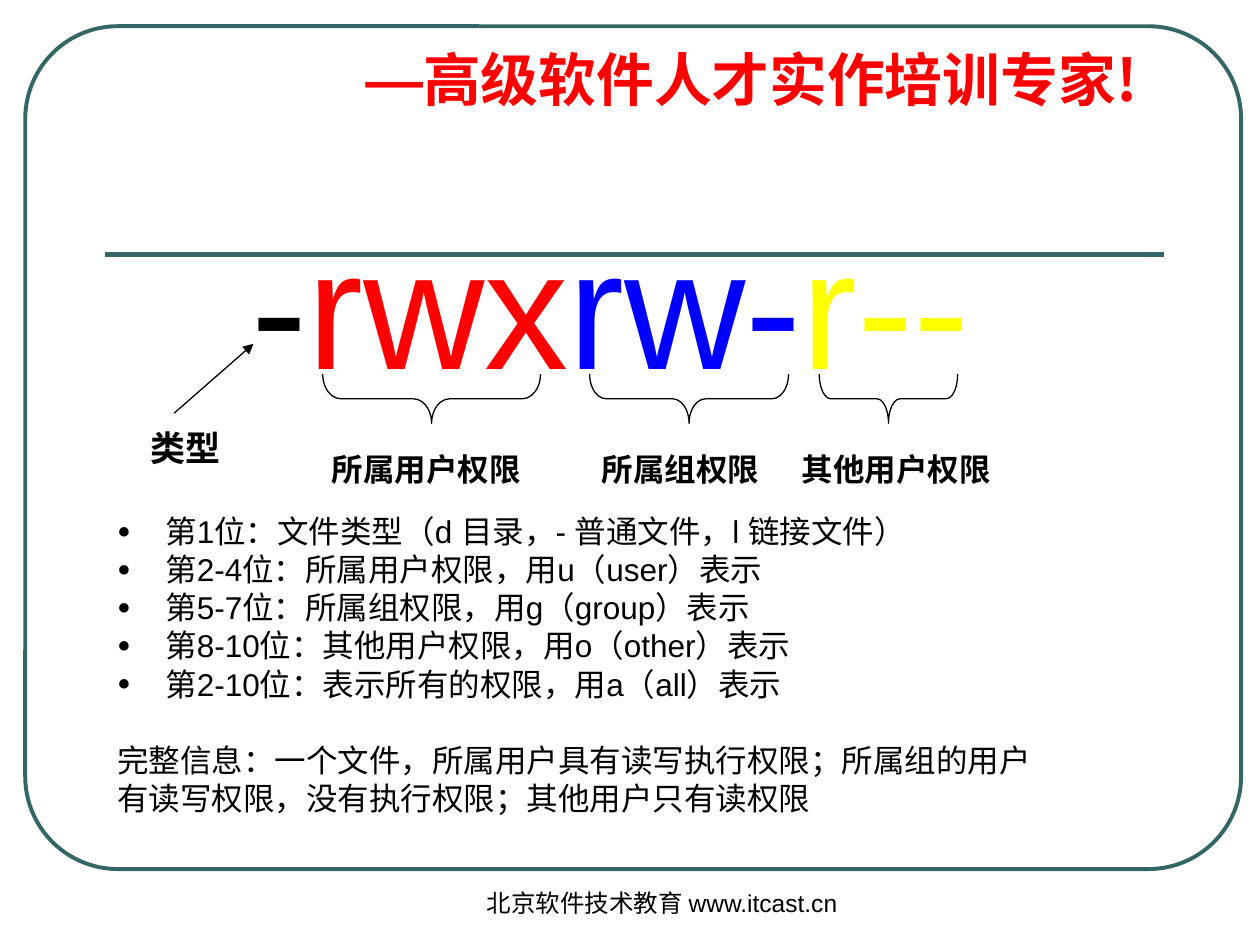
from lxml.etree import SubElement
from pptx import Presentation
from pptx.dml.color import RGBColor
from pptx.enum.shapes import MSO_CONNECTOR as Connector, MSO_SHAPE as Shape
from pptx.enum.text import MSO_ANCHOR as Anchor, MSO_AUTO_SIZE as AutoSize, PP_ALIGN as Align
from pptx.oxml.ns import qn
from pptx.util import Cm, Pt

COLORS = {"teal": "336666", "black": "000000", "white": "FFFFFF",
          "red": "FF0000", "blue": "0000FF", "yellow": "FFFF00"}
CJK = "Noto Sans CJK SC"


def add_run(paragraph, text, size, color="black", bold=False, latin="Arial", east_asian=CJK):
    run = paragraph.add_run()
    run.text = text
    run.font.size = Pt(size)
    run.font.bold = bold
    run.font.color.rgb = RGBColor.from_string(COLORS[color])
    run.font.name = latin
    SubElement(run.font._element, qn("a:ea"), typeface=east_asian)


def add_line(shapes, start, end, color, width):
    line = shapes.add_connector(Connector.STRAIGHT, *map(Cm, start + end))
    line.line.color.rgb = RGBColor.from_string(COLORS[color])
    line.line.width = Pt(width)
    SubElement(line._element.spPr, qn("a:effectLst"))
    return line


presentation = Presentation()
presentation.slide_width = Cm(25.4)
presentation.slide_height = Cm(19.05)
slide = presentation.slides.add_slide(presentation.slide_layouts[1])
shapes = slide.shapes
title, body = shapes.title, slide.placeholders[1]

# Frame and rule
frame = shapes.add_shape(Shape.ROUNDED_RECTANGLE, Cm(0.51), Cm(0.53), Cm(24.51), Cm(16.99))
frame.adjustments[0] = 0.11
frame.shadow.inherit = False
frame.fill.background()
frame.line.color.rgb = RGBColor.from_string(COLORS["teal"])
frame.line.width = Pt(2.25)
add_line(shapes, (2.11, 5.13), (23.47, 5.13), "teal", 3)

# Title and body placeholders
for placeholder, box in ((title, (7.11, 0.91, 16, 1.52)), (body, (2.11, 10.34, 21.62, 6.58))):
    placeholder.left, placeholder.top, placeholder.width, placeholder.height = map(Cm, box)
    placeholder.text_frame.auto_size = AutoSize.NONE
    placeholder.text_frame.vertical_anchor = Anchor.TOP

heading = title.text_frame.paragraphs[0]
heading.alignment = Align.LEFT
heading.line_spacing = 0.9
heading._p.get_or_add_pPr().set("marL", str(Cm(0.97)))
heading._p.get_or_add_pPr().set("indent", str(Cm(-0.97)))
add_run(heading, "—", 33, "red", True, "Montserrat", "Montserrat")
add_run(heading, "高级软件人才实作培训专家!", 33, "red", True, CJK)

# Permission bits: bulleted list, then the summary
bits = [
    "第1位：文件类型（d 目录，- 普通文件，l 链接文件）",
    "第2-4位：所属用户权限，用u（user）表示",
    "第5-7位：所属组权限，用g（group）表示",
    "第8-10位：其他用户权限，用o（other）表示",
    "第2-10位：表示所有的权限，用a（all）表示",
]
summary = [
    "完整信息：一个文件，所属用户具有读写执行权限；所属组的用户",
    "有读写权限，没有执行权限；其他用户只有读权限",
]
for index, text in enumerate(bits + summary):
    paragraph = body.text_frame.paragraphs[0] if index == 0 else body.text_frame.add_paragraph()
    paragraph.line_spacing = 0.8
    paragraph.space_before = Pt({0: 0, len(bits): 26.2}.get(index, 4.5))
    properties = paragraph._p.get_or_add_pPr()
    properties.set("marL", str(Cm(0.97)))
    properties.set("indent", str(Cm(-0.97)))
    if index < len(bits):
        bullet_color = SubElement(properties, qn("a:buClr"))
        SubElement(bullet_color, qn("a:srgbClr"), val=COLORS["black"])
        SubElement(properties, qn("a:buSzPct"), val="70000")
        SubElement(properties, qn("a:buFont"), typeface="Arial")
        SubElement(properties, qn("a:buChar"), char="●")
    else:
        SubElement(properties, qn("a:buNone"))
    add_run(paragraph, text, 18)

# Braces under the three permission groups: centre, length
for center, length in ((8.7, 4.39), (13.89, 4.01), (17.91, 2.79)):
    thickness = 0.99
    brace = shapes.add_shape(Shape.RIGHT_BRACE, Cm(center - thickness / 2),
                             Cm(8.04 - length / 2), Cm(thickness), Cm(length))
    brace.rotation = 90
    brace.adjustments[0] = length / 12 / thickness
    brace.shadow.inherit = False
    brace.fill.solid()
    brace.fill.fore_color.rgb = RGBColor.from_string(COLORS["white"])
    brace.line.color.rgb = RGBColor.from_string(COLORS["black"])
    brace.line.width = Pt(0.75)

# Centred texts: box, size, bold, coloured pieces
texts = [
    ((3.71, 3.94, 17.2, 4.32), 96, False,
     [("-", "black"), ("rwx", "red"), ("rw-", "blue"), ("r--", "yellow")]),
    ((5.89, 8.94, 5.41, 1.02), 18, True, [("所属用户权限", "black")]),
    ((11.51, 8.94, 4.42, 1.02), 18, True, [("所属组权限", "black")]),
    ((15.9, 8.94, 4.34, 1.02), 18, True, [("其他用户权限", "black")]),
    ((2.18, 8.48, 3.12, 1.12), 20, True, [("类型", "black")]),
    ((9.32, 17.78, 8.05, 1.27), 14, False, [("北京软件技术教育 www.itcast.cn", "black")]),
]
for box, size, bold, pieces in texts:
    text_frame = shapes.add_textbox(*map(Cm, box)).text_frame
    text_frame.word_wrap = True
    text_frame.paragraphs[0].alignment = Align.CENTER
    for text, color in pieces:
        add_run(text_frame.paragraphs[0], text, size, color, bold)

# Arrow from the type label to the first character
arrow = add_line(shapes, (3.51, 8.33), (5.11, 6.93), "black", 0.75)
SubElement(arrow.line._get_or_add_ln(), qn("a:tailEnd"), type="triangle")

presentation.save("out.pptx")
